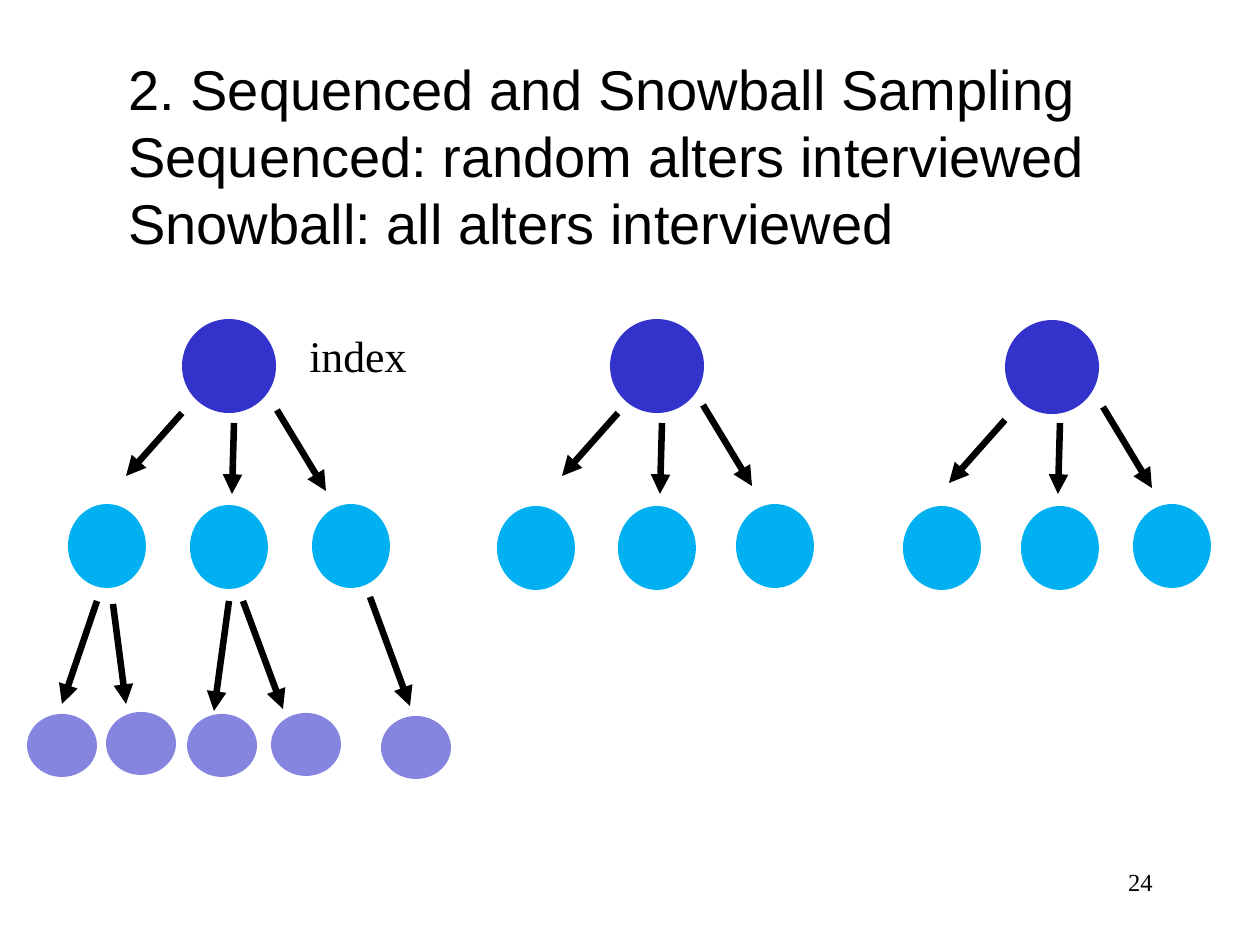
from lxml.etree import SubElement
from pptx import Presentation
from pptx.dml.color import RGBColor
from pptx.enum.shapes import MSO_CONNECTOR, MSO_SHAPE
from pptx.enum.text import PP_ALIGN
from pptx.oxml.ns import qn
from pptx.util import Pt

EMU_PER_PX = 914400 / 126
COLORS = {"ink": "000000", "index": "3333CC", "alter": "00B0F0", "second": "8585E0"}

HEADING = [
    "2. Sequenced and Snowball Sampling",
    "Sequenced: random alters interviewed",
    "Snowball: all alters interviewed",
]
TEXTS = [
    (HEADING, (116, 48, 989, 217), "Arial", 32, PP_ALIGN.LEFT, False),
    (["index"], (297, 323, 123, 65), "Times New Roman", 25, PP_ALIGN.LEFT, False),
    (["24"], (903, 861, 262, 63), "Times New Roman", 14, PP_ALIGN.RIGHT, True),
]

NODE_SIZES = {"index": (94, 94), "alter": (78, 84), "second": (70, 63)}
INDEX_ARROW_SPANS = [(-56, 63), (-2, 71), (49, 81)]
TREES = [
    {
        "index": (182, 319),
        "alters": [(68, 504), (190, 505), (312, 504)],
        "arrow_starts": [(182, 413), (234, 423), (277, 410)],
    },
    {
        "index": (610, 319),
        "alters": [(497, 506), (618, 506), (736, 504)],
        "arrow_starts": [(618, 413), (662, 423), (703, 405)],
    },
    {
        "index": (1005, 320),
        "alters": [(903, 506), (1021, 506), (1133, 504)],
        "arrow_starts": [(1005, 420), (1060, 423), (1103, 407)],
    },
]
SECOND_ALTERS = [(27, 714), (106, 712), (187, 714), (271, 713), (381, 716)]
SECOND_ARROWS = [
    ((97, 601), (62, 704)),
    ((113, 604), (126, 704)),
    ((229, 601), (214, 711)),
    ((243, 601), (283, 709)),
    ((370, 597), (410, 706)),
]


def px(*lengths):
    return [round(length * EMU_PER_PX) for length in lengths]


def color(name):
    return RGBColor.from_string(COLORS[name])


def add_words(slide, lines, box, font, size, align, wrap):
    frame = slide.shapes.add_textbox(*px(*box)).text_frame
    frame.word_wrap = wrap
    frame.text = "\n".join(lines)
    for paragraph in frame.paragraphs:
        paragraph.alignment = align
        paragraph.font.name = font
        paragraph.font.size = Pt(size)
        paragraph.font.color.rgb = color("ink")


def add_node(slide, level, corner):
    node = slide.shapes.add_shape(MSO_SHAPE.OVAL, *px(*corner, *NODE_SIZES[level]))
    node.shadow.inherit = False
    node.fill.solid()
    node.fill.fore_color.rgb = color(level)
    node.line.fill.background()


def add_arrow(slide, start, end):
    arrow = slide.shapes.add_connector(MSO_CONNECTOR.STRAIGHT, *px(*start, *end))
    arrow.line.color.rgb = color("ink")
    arrow.line.width = Pt(3.75)
    SubElement(arrow.line._get_or_add_ln(), qn("a:tailEnd"), type="triangle")
    SubElement(arrow._element.spPr, qn("a:effectLst"))


def main():
    presentation = Presentation()
    presentation.slide_width, presentation.slide_height = px(1260, 945)
    slide = presentation.slides.add_slide(presentation.slide_layouts[6])

    for words in TEXTS:
        add_words(slide, *words)
    for tree in TREES:
        add_node(slide, "index", tree["index"])
        for alter in tree["alters"]:
            add_node(slide, "alter", alter)
        for (x, y), (across, down) in zip(tree["arrow_starts"], INDEX_ARROW_SPANS):
            add_arrow(slide, (x, y), (x + across, y + down))
    for corner in SECOND_ALTERS:
        add_node(slide, "second", corner)
    for start, end in SECOND_ARROWS:
        add_arrow(slide, start, end)

    presentation.save("out.pptx")


if __name__ == "__main__":
    main()
